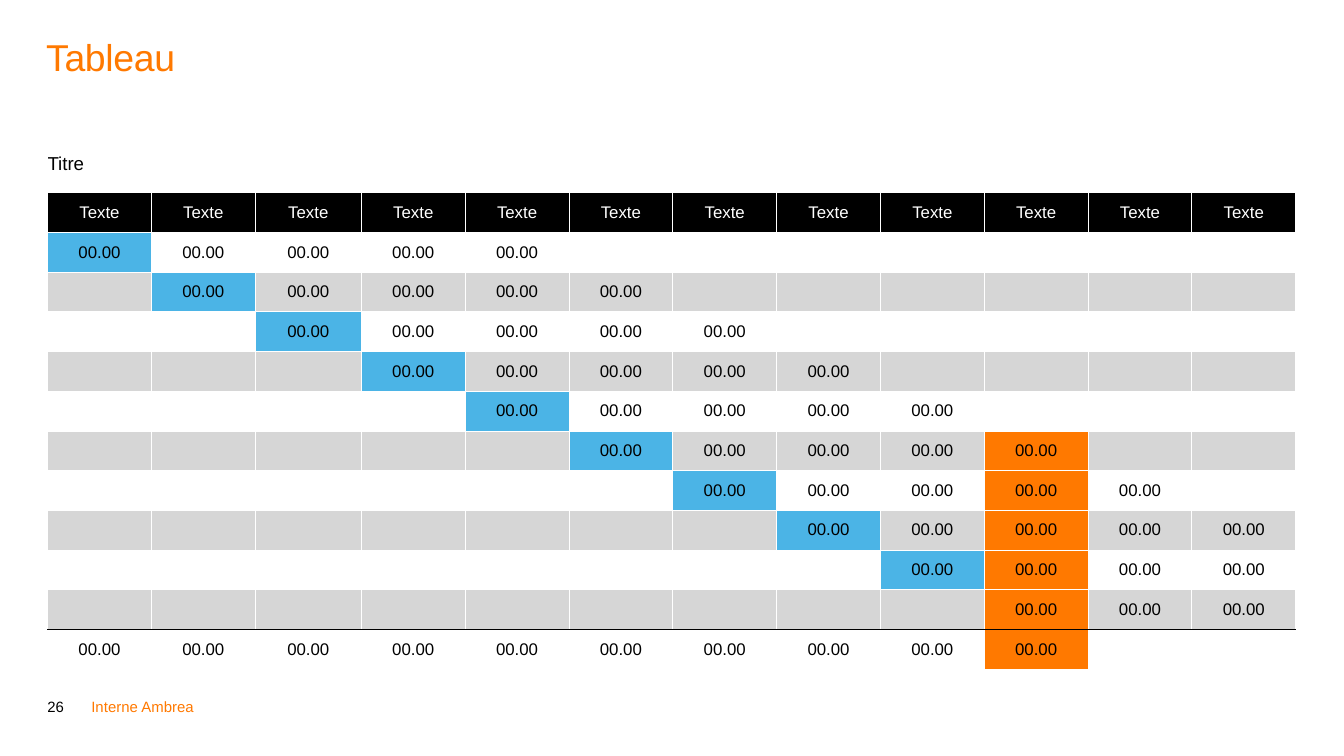
from dataclasses import dataclass

from lxml import etree
from pptx import Presentation
from pptx import util as u
from pptx.dml.color import RGBColor
from pptx.enum import text
from pptx.oxml import ns

COLS, ROWS = 12, 13
LAST = ROWS - 1     # totals row
MARK = 9            # column picked out in orange
BAND = 5            # values on each staggered row


@dataclass(frozen=True)
class Theme:
    font: str = "Arial"
    black: str = "000000"
    white: str = "FFFFFF"
    orange: str = "FF7900"
    blue: str = "4BB4E6"
    grey: str = "D6D6D6"
    title: int = 20
    label: int = 10
    cell: int = 9
    foot: int = 8
    rule: float = 0.5


class Deck:
    """Holds the theme and the current slide; lengths are percent of its size."""

    def __init__(self, theme, wide, ratio):
        self.theme = theme
        self.file = Presentation()
        self.file.slide_width = u.Inches(wide)
        self.file.slide_height = u.Inches(wide * ratio)
        self.slide = self.file.slides.add_slide(self.file.slide_layouts[6])

    def x(self, part):
        return round(self.file.slide_width * part / 100)

    def y(self, part):
        return round(self.file.slide_height * part / 100)

    def place(self, left, top, wide, high):
        return self.x(left), self.y(top), self.x(wide), self.y(high)

    def run(self, para, words, size, color):
        run = para.add_run()
        run.text = words
        run.font.name = self.theme.font
        run.font.size = u.Pt(size)
        run.font.color.rgb = RGBColor.from_string(color)
        return run

    def label(self, area, words, size, color, wrap=True, low=False, pad=0):
        frame = self.slide.shapes.add_textbox(*self.place(*area)).text_frame
        frame.margin_left = u.Inches(pad)
        frame.margin_right = frame.margin_top = frame.margin_bottom = 0
        frame.word_wrap = wrap
        frame.vertical_anchor = text.MSO_ANCHOR.BOTTOM if low else text.MSO_ANCHOR.TOP
        para = frame.paragraphs[0]
        return para, self.run(para, words, size, color)

    def table(self, area, first, third):
        """Add a plain table with its own first row height and third column width."""
        left, top, wide, high = self.place(*area)
        grid = self.slide.shapes.add_table(ROWS, COLS, left, top, wide, high).table
        grid.first_row = grid.horz_banding = False
        for i, row in enumerate(grid.rows):
            row.height = self.y(first) if i == 0 else round((high - self.y(first)) / (ROWS - 1))
        for i, col in enumerate(grid.columns):
            col.width = self.x(third) if i == 2 else round((wide - self.x(third)) / (COLS - 1))
        return grid

    def edges(self, cell, **colors):
        """Draw the four cell borders, white unless a side is named."""
        props = cell._tc.get_or_add_tcPr()
        for i, side in enumerate("LRTB"):
            line = etree.Element(ns.qn(f"a:ln{side}"), w=str(u.Pt(self.theme.rule)))
            fill = etree.SubElement(line, ns.qn("a:solidFill"))
            etree.SubElement(fill, ns.qn("a:srgbClr"), val=colors.get(side, self.theme.white))
            props.insert(i, line)

    def cell(self, cell, words, color, fill=None, pad=(0, 0), mid=True, **sides):
        cell.margin_left = cell.margin_right = u.Inches(pad[0])
        cell.margin_top = cell.margin_bottom = u.Inches(pad[1])
        para = cell.text_frame.paragraphs[0]
        if mid:
            cell.vertical_anchor = text.MSO_ANCHOR.MIDDLE
            para.alignment = text.PP_ALIGN.CENTER
        if words:
            self.run(para, words, self.theme.cell if mid else self.theme.label, color)
        else:
            # keeps an empty cell from stretching its row
            etree.SubElement(para._p, ns.qn("a:endParaRPr"), sz=str(self.theme.cell * 100))
        if fill:
            cell.fill.solid()
            cell.fill.fore_color.rgb = RGBColor.from_string(fill)
        else:
            cell.fill.background()
        self.edges(cell, **sides)


def shade(theme, row, col):
    step = row - 2
    if col == MARK and step >= BAND:
        return theme.orange
    if row == LAST:
        return None
    if col == step:
        return theme.blue
    return theme.grey if row % 2 else None


def filled(row, col):
    return col <= MARK if row == LAST else 0 <= col - (row - 2) < BAND


def main():
    theme = Theme()
    deck = Deck(theme, 10, 9 / 16)

    para, _ = deck.label((3.42, 88.1, 3, 6.58), "26", theme.foot, theme.black,
                         low=True, pad=0.01)
    para.line_spacing = 0.85
    para.space_after = u.Pt(12)
    deck.label((6.8, 92.27, 8.1, 2.31), "Interne Ambrea", theme.foot, theme.orange, wrap=False)
    para, run = deck.label((3.44, 5.16, 93.1, 14.4), "Tableau", theme.title, theme.orange)
    para.line_spacing = 0.9
    run.font._element.set("spc", "-20")

    grid = deck.table((3.54, 20.32, 92.9, 68.27), first=5.2, third=7.9)
    grid.cell(0, 0).merge(grid.cell(0, COLS - 1))
    for col in range(COLS):
        deck.cell(grid.cell(0, col), "" if col else "Titre", theme.black, mid=False)
        deck.cell(grid.cell(1, col), "Texte", theme.white, theme.black, pad=(0, 0.02))
        for row in range(2, ROWS):
            sides = {LAST - 1: {"B": theme.black}, LAST: {"T": theme.black}}.get(row, {})
            deck.cell(grid.cell(row, col), "00.00" if filled(row, col) else "",
                      theme.black, shade(theme, row, col), pad=(0.04, 0.04), **sides)

    deck.file.save("out.pptx")


if __name__ == "__main__":
    main()
